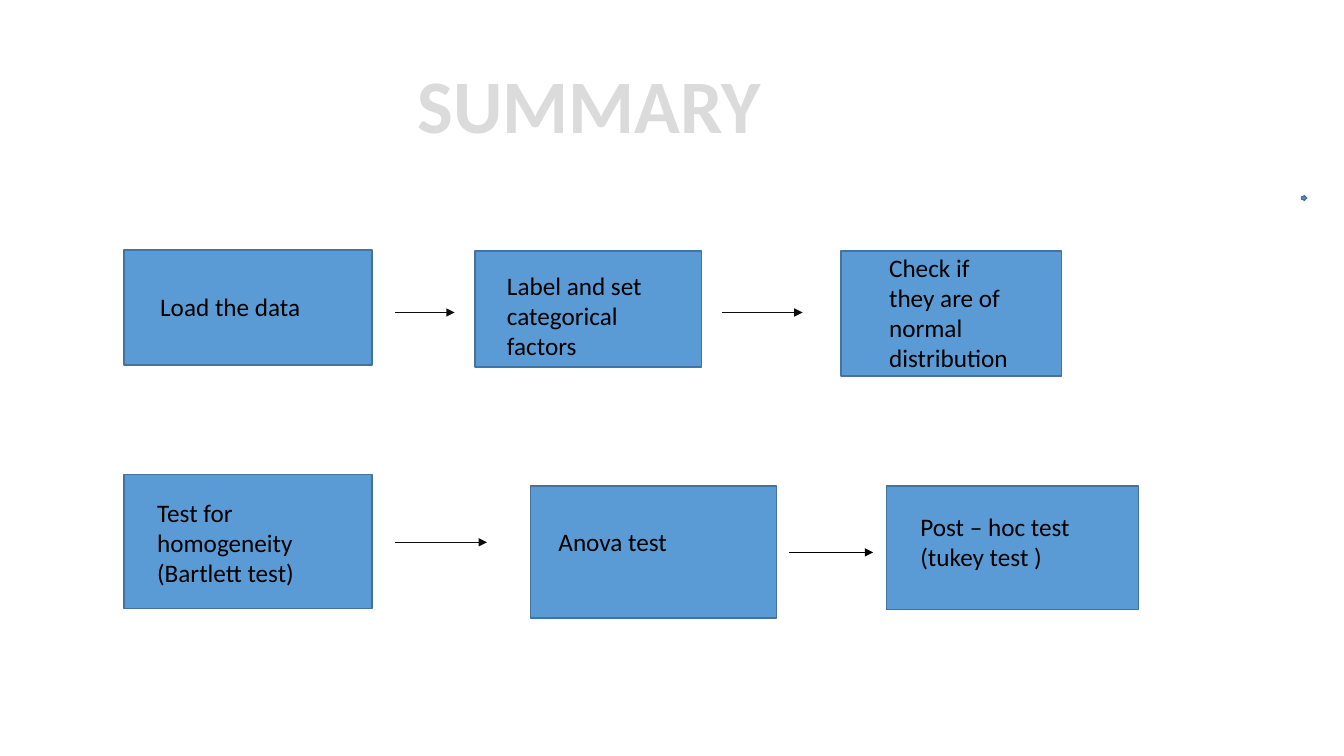
from lxml.etree import SubElement
from pptx import Presentation
from pptx.dml.color import RGBColor
from pptx.enum.shapes import MSO_CONNECTOR, MSO_SHAPE
from pptx.enum.text import MSO_AUTO_SIZE, PP_ALIGN
from pptx.oxml.ns import qn
from pptx.util import Inches, Pt

BLUE = RGBColor(0x5B, 0x9B, 0xD5)
DARK_BLUE = RGBColor(0x43, 0x73, 0x9E)
BLACK = RGBColor(0x00, 0x00, 0x00)
NEAR_BLACK = RGBColor(0x0D, 0x0D, 0x0D)
LIGHT_GREY = RGBColor(0xDB, 0xDB, 0xDB)

# Each step: box (left, top, width, height), label (same order), lines
STEPS = [
    ((1.23, 2.48, 2.46, 1.14), (1.49, 2.84, 1.88, 0.4), ["Load the data"]),
    ((4.71, 2.49, 2.25, 1.15), (4.93, 2.63, 1.67, 1.01),
     ["Label and set categorical factors"]),
    ((8.34, 2.49, 2.19, 1.24), (8.72, 2.45, 1.43, 1.31),
     ["Check if they are of normal distribution"]),
    ((1.23, 4.71, 2.46, 1.33), (1.46, 4.88, 1.85, 1.01),
     ["Test for homogeneity", "(Bartlett test)"]),
    ((5.26, 4.82, 2.44, 1.31), (5.44, 5.17, 1.72, 0.4), ["Anova test"]),
    ((8.79, 4.82, 2.5, 1.23), (9.03, 5.02, 1.89, 0.71),
     ["Post – hoc test", "(tukey test )"]),
]

# Each arrow: start x, end x, y, colour
ARROWS = [
    (3.92, 4.51, 3.1, NEAR_BLACK),
    (7.16, 7.96, 3.1, NEAR_BLACK),
    (3.92, 4.83, 5.38, NEAR_BLACK),
    (7.83, 8.66, 5.48, BLACK),
]


class FlowSlide:
    font_name = "Calibri"

    def __init__(self, slide):
        self.slide = slide

    def block(self, place, preset=MSO_SHAPE.RECTANGLE):
        block = self.slide.shapes.add_shape(preset, *map(Inches, place))
        block.shadow.inherit = False
        block.fill.solid()
        block.fill.fore_color.rgb = BLUE
        block.line.color.rgb = DARK_BLUE
        block.line.width = Pt(1)

    def text(self, place, lines, size=18, color=BLACK, bold=False,
             align=PP_ALIGN.LEFT, wrap=True):
        frame = self.slide.shapes.add_textbox(*map(Inches, place)).text_frame
        frame.word_wrap = wrap
        frame.auto_size = MSO_AUTO_SIZE.SHAPE_TO_FIT_TEXT
        frame.text = "\n".join(lines)
        for paragraph in frame.paragraphs:
            paragraph.alignment = align
            paragraph.font.name = self.font_name
            paragraph.font.size = Pt(size)
            paragraph.font.bold = bold
            paragraph.font.color.rgb = color

    def arrow(self, start, end, y, color):
        arrow = self.slide.shapes.add_connector(
            MSO_CONNECTOR.STRAIGHT, Inches(start), Inches(y), Inches(end), Inches(y))
        arrow.line.color.rgb = color
        arrow.line.width = Pt(0.5)
        SubElement(arrow.line._get_or_add_ln(), qn("a:tailEnd"), type="triangle")
        SubElement(arrow._element.spPr, qn("a:effectLst"))


def main():
    presentation = Presentation()
    presentation.slide_width = Inches(13.33)
    presentation.slide_height = Inches(7.5)
    summary = FlowSlide(presentation.slides.add_slide(presentation.slide_layouts[6]))

    summary.text((4.02, 0.53, 3.82, 1.01), ["SUMMARY "], size=54, color=LIGHT_GREY,
                 bold=True, align=PP_ALIGN.CENTER, wrap=False)
    for box, label, lines in STEPS:
        summary.block(box)
        summary.text(label, lines)
    for arrow in ARROWS:
        summary.arrow(*arrow)
    summary.block((12.91, 1.94, 0.05, 0.05), MSO_SHAPE.RIGHT_ARROW)

    presentation.save("out.pptx")


if __name__ == "__main__":
    main()
